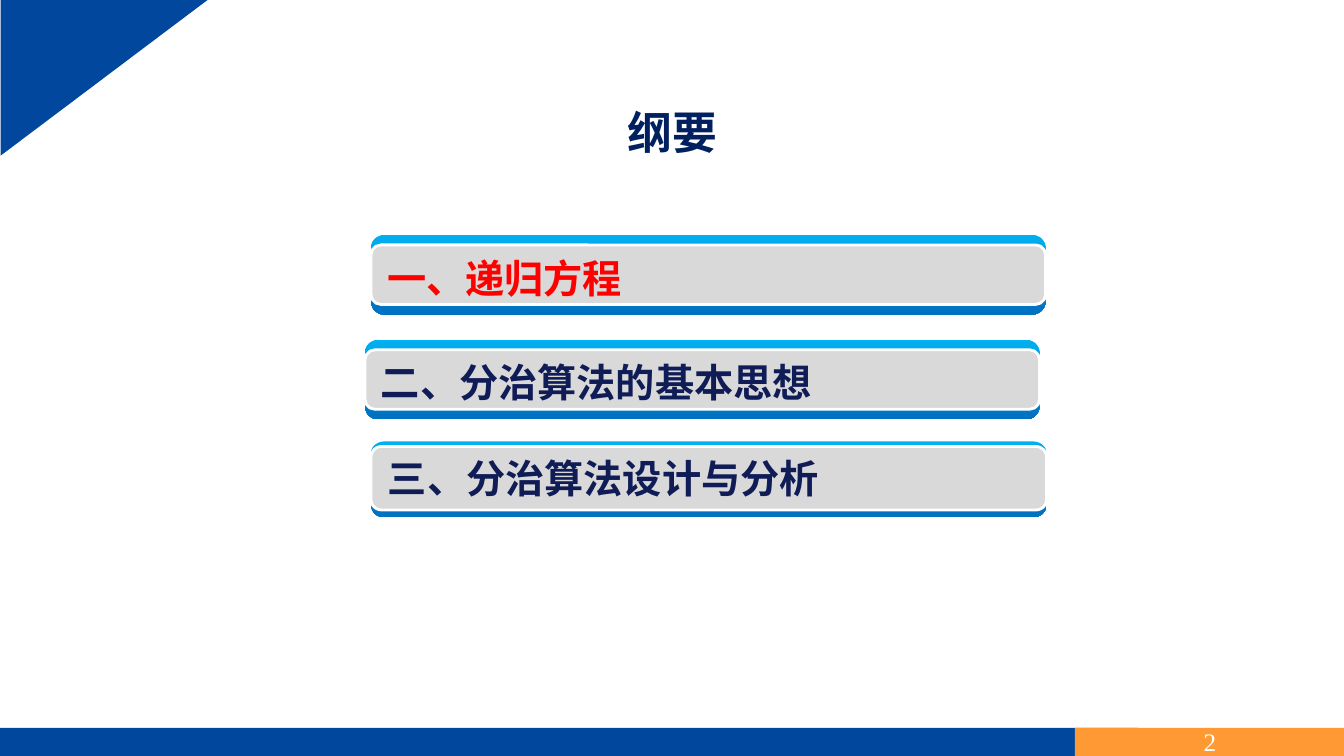
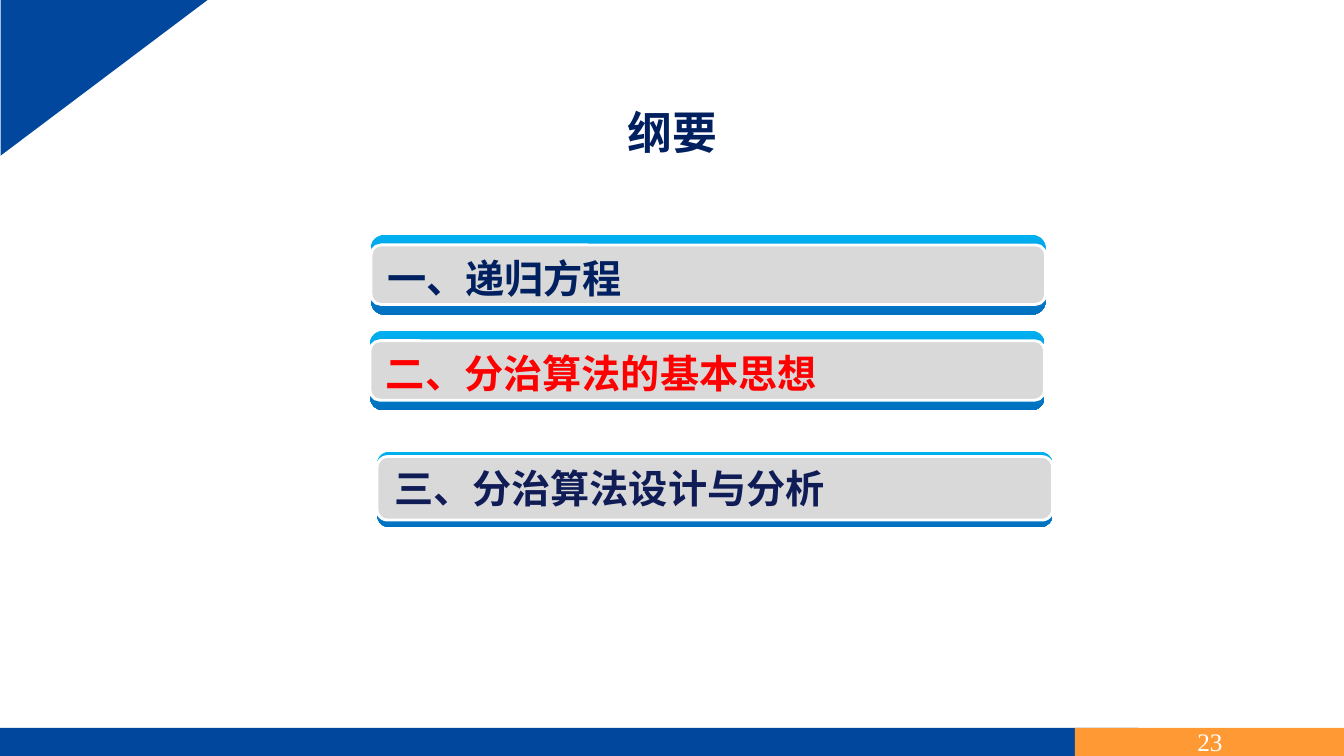
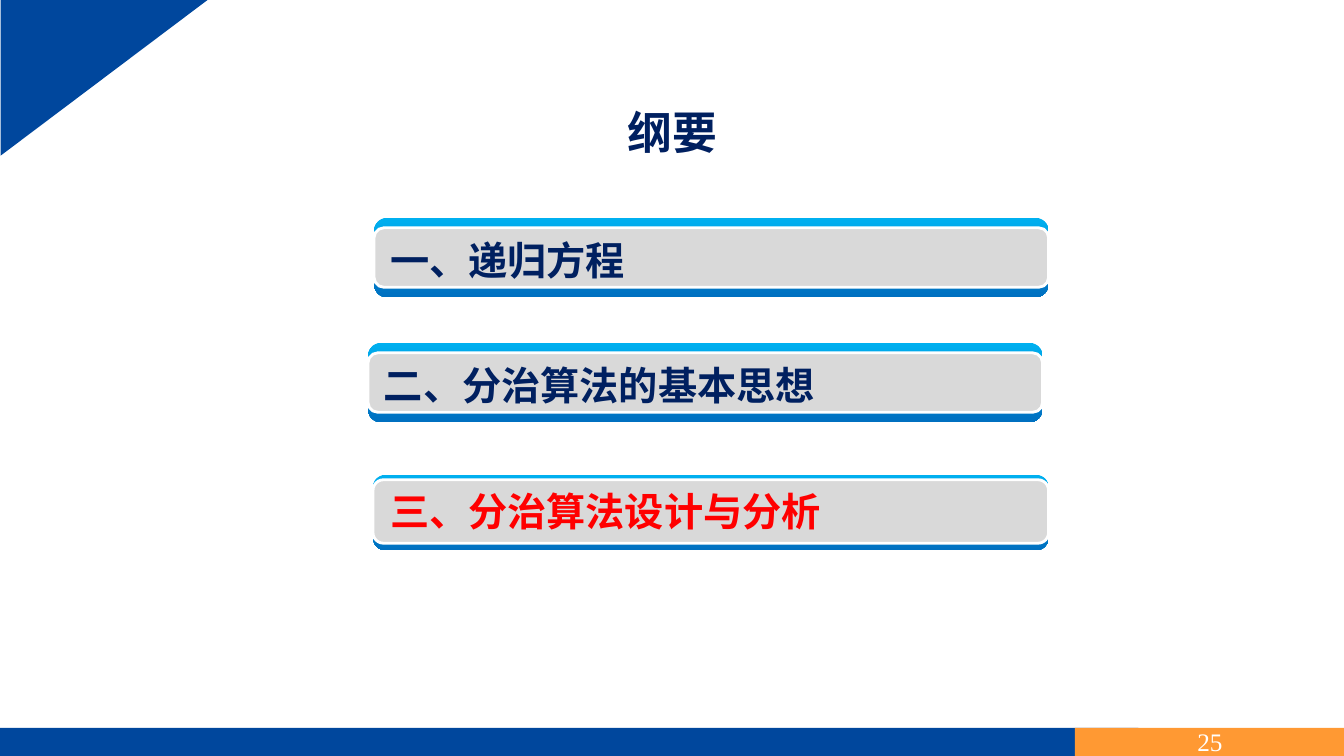
from dataclasses import dataclass

from pptx import Presentation
from pptx.dml.color import RGBColor
from pptx.enum.shapes import MSO_SHAPE
from pptx.enum.text import MSO_ANCHOR, MSO_AUTO_SIZE, PP_ALIGN
from pptx.shapes.autoshape import Shape
from pptx.slide import Slide
from pptx.text.text import TextFrame
from pptx.util import Inches, Pt


@dataclass(frozen=True)
class Theme:
    font: str = "Times New Roman"
    brand: RGBColor = RGBColor(0x00, 0x47, 0x9D)
    accent: RGBColor = RGBColor(0xFF, 0x99, 0x33)
    white: RGBColor = RGBColor(0xFF, 0xFF, 0xFF)
    navy: RGBColor = RGBColor(0x00, 0x20, 0x60)
    indigo: RGBColor = RGBColor(0x10, 0x1C, 0x56)
    highlight: RGBColor = RGBColor(0xFF, 0x00, 0x00)
    panel: RGBColor = RGBColor(0xD9, 0xD9, 0xD9)
    edge_top: RGBColor = RGBColor(0x00, 0xB0, 0xF0)
    edge_bottom: RGBColor = RGBColor(0x00, 0x70, 0xC0)
    title_size: int = 32
    topic_size: int = 28
    number_size: int = 18
    panel_line: int = 2


THEME = Theme()


@dataclass(frozen=True)
class Box:
    left: float
    top: float
    width: float
    height: float


@dataclass(frozen=True)
class Topic:
    text: str
    bar: Box
    panel: Box
    label: Box


@dataclass(frozen=True)
class Entry:
    topic: Topic
    left: float
    top: float
    color: RGBColor


@dataclass(frozen=True)
class Outline:
    number: int
    entries: tuple[Entry, ...]


def wide_topic(text: str) -> Topic:
    return Topic(text, Box(0, 0, 6.69, 0.79), Box(0, 0.1, 6.69, 0.59), Box(0.06, 0.14, 6.45, 0.57))


RECURRENCES = wide_topic("一、递归方程")
IDEAS = wide_topic("二、分治算法的基本思想")
DESIGN = Topic(
    "三、分治算法设计与分析",
    Box(0, 0, 6.7, 0.75),
    Box(0, 0.05, 6.7, 0.63),
    Box(0.07, 0.08, 6.63, 0.57),
)

OUTLINES = (
    Outline(2, (
        Entry(RECURRENCES, 3.68, 2.33, THEME.highlight),
        Entry(IDEAS, 3.62, 3.37, THEME.indigo),
        Entry(DESIGN, 3.68, 4.38, THEME.indigo),
    )),
    Outline(23, (
        Entry(RECURRENCES, 3.68, 2.33, THEME.navy),
        Entry(IDEAS, 3.67, 3.28, THEME.highlight),
        Entry(DESIGN, 3.74, 4.48, THEME.indigo),
    )),
    Outline(25, (
        Entry(RECURRENCES, 3.71, 2.16, THEME.navy),
        Entry(IDEAS, 3.65, 3.4, THEME.navy),
        Entry(DESIGN, 3.7, 4.71, THEME.highlight),
    )),
)


def add_block(slide: Slide, kind: MSO_SHAPE, box: Box, fill: RGBColor | None = None) -> Shape:
    shape = slide.shapes.add_shape(
        kind, Inches(box.left), Inches(box.top), Inches(box.width), Inches(box.height)
    )
    shape.shadow.inherit = False
    shape.line.fill.background()
    if fill is not None:
        shape.fill.solid()
        shape.fill.fore_color.rgb = fill
    return shape


def write_line(
    frame: TextFrame, text: str, size: int, color: RGBColor, align: PP_ALIGN, bold: bool
) -> None:
    paragraph = frame.paragraphs[0]
    paragraph.alignment = align
    run = paragraph.add_run()
    run.text = text
    run.font.name = THEME.font
    run.font.size = Pt(size)
    run.font.bold = bold
    run.font.color.rgb = color


def add_text(
    slide: Slide, box: Box, text: str, size: int, color: RGBColor, align: PP_ALIGN = PP_ALIGN.LEFT
) -> None:
    text_box = slide.shapes.add_textbox(
        Inches(box.left), Inches(box.top), Inches(box.width), Inches(box.height)
    )
    frame = text_box.text_frame
    frame.word_wrap = True
    frame.auto_size = MSO_AUTO_SIZE.SHAPE_TO_FIT_TEXT
    write_line(frame, text, size, color, align, True)


def add_frame(slide: Slide, number: int) -> None:
    add_block(slide, MSO_SHAPE.RECTANGLE, Box(0, 7.22, 11.29, 0.28), THEME.brand)
    footer = add_block(slide, MSO_SHAPE.RECTANGLE, Box(10.66, 7.22, 2.68, 0.28), THEME.accent)
    footer.text_frame.vertical_anchor = MSO_ANCHOR.MIDDLE
    write_line(
        footer.text_frame, str(number), THEME.number_size, THEME.white, PP_ALIGN.CENTER, False
    )
    corner = add_block(slide, MSO_SHAPE.RIGHT_TRIANGLE, Box(0.26, -0.26, 1.55, 2.06), THEME.brand)
    corner.rotation = 90
    add_text(
        slide, Box(4.48, 0.99, 4.38, 0.64), "纲要", THEME.title_size, THEME.navy, PP_ALIGN.CENTER
    )


def add_entry(slide: Slide, entry: Entry) -> None:
    def place(box: Box) -> Box:
        return Box(entry.left + box.left, entry.top + box.top, box.width, box.height)

    topic = entry.topic
    bar = add_block(slide, MSO_SHAPE.ROUNDED_RECTANGLE, place(topic.bar))
    bar.fill.gradient()
    bar.fill.gradient_angle = 270
    for stop, color in zip(bar.fill.gradient_stops, (THEME.edge_top, THEME.edge_bottom)):
        stop.color.rgb = color
    panel = add_block(slide, MSO_SHAPE.ROUNDED_RECTANGLE, place(topic.panel), THEME.panel)
    panel.line.color.rgb = THEME.white
    panel.line.width = Pt(THEME.panel_line)
    add_text(slide, place(topic.label), topic.text, THEME.topic_size, entry.color)


def main() -> None:
    presentation = Presentation()
    presentation.slide_width = Inches(13.33)
    presentation.slide_height = Inches(7.5)
    for outline in OUTLINES:
        slide = presentation.slides.add_slide(presentation.slide_layouts[6])
        add_frame(slide, outline.number)
        for entry in outline.entries:
            add_entry(slide, entry)
    presentation.save("out.pptx")


if __name__ == "__main__":
    main()
